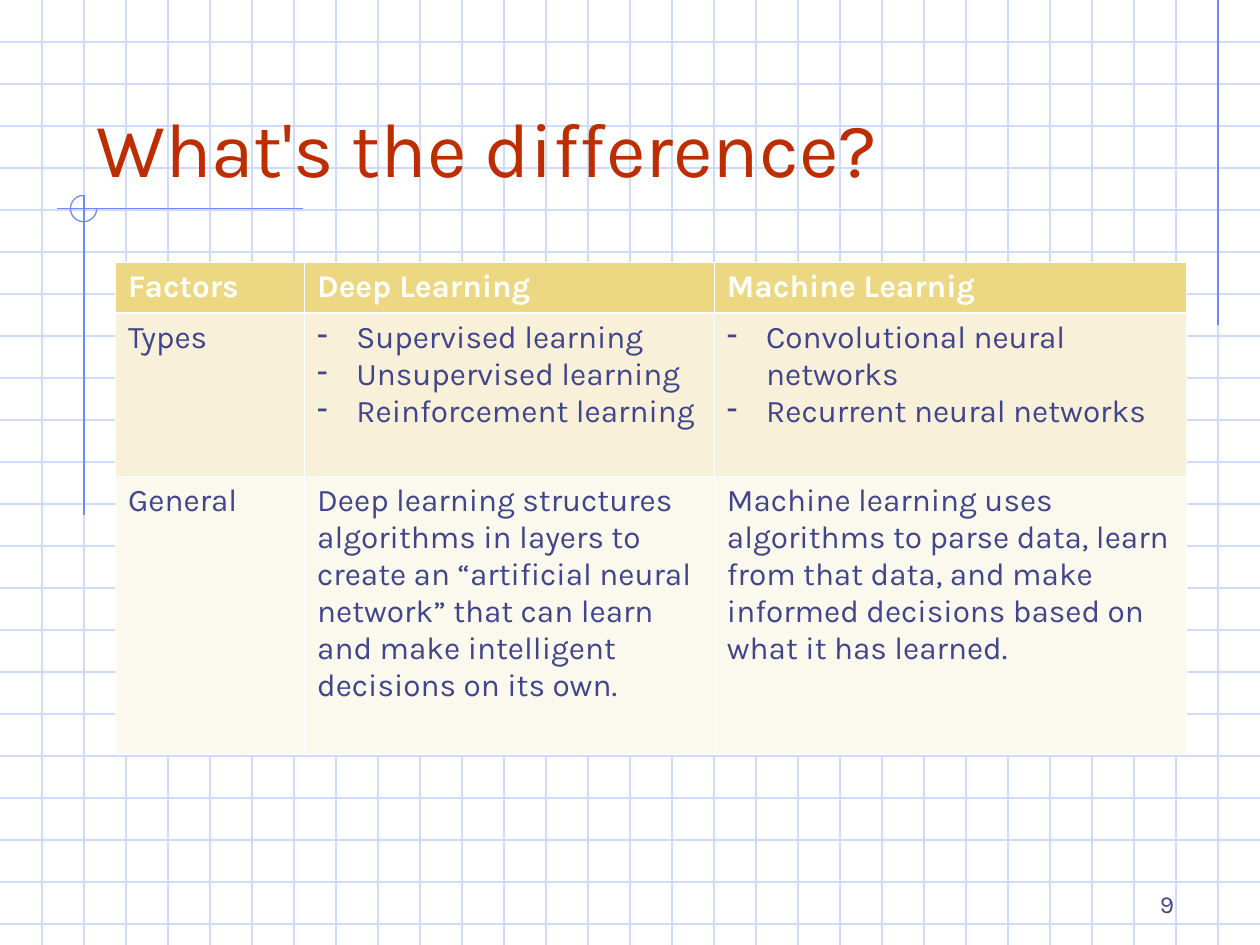
from pptx import Presentation
from pptx.dml.color import RGBColor
from pptx.enum.shapes import MSO_CONNECTOR, MSO_SHAPE
from pptx.enum.text import MSO_ANCHOR, PP_ALIGN
from pptx.oxml.ns import qn
from pptx.util import Cm, Pt
from lxml.etree import SubElement, Element

FONT = "Karla"
WHITE = RGBColor(0xFF, 0xFF, 0xFF)
GRID = RGBColor(0xCF, 0xDB, 0xFD)
ACCENT = RGBColor(0x6F, 0x89, 0xF7)
RED = RGBColor(0xBE, 0x2D, 0x00)
NAVY = RGBColor(0x40, 0x45, 0x8C)
GOLD = RGBColor(0xEC, 0xD8, 0x82)
SAND = RGBColor(0xF8, 0xF0, 0xD8)
CREAM = RGBColor(0xFB, 0xF8, 0xED)

WIDTH, HEIGHT = 25.4, 19.05
STEP = WIDTH / 30
THIN, THICK = Pt(0.45), Pt(1.47)
COLUMNS = [3.81, 8.26, 9.52]
ROWS = [
    (1.02, GOLD, ["Factors", "Deep Learning", "Machine Learnig"]),
    (3.3, SAND, [
        "Types",
        ["Supervised learning", "Unsupervised learning", "Reinforcement learning"],
        ["Convolutional neural networks", "Recurrent neural networks"],
    ]),
    (5.59, CREAM, [
        "General",
        "Deep learning structures algorithms in layers to create an “artificial "
        "neural network” that can learn and make intelligent decisions on its own.",
        "Machine learning uses algorithms to parse data, learn from that data, "
        "and make informed decisions based on what it has learned.",
    ]),
]


def add_line(s, x1, y1, x2, y2, color):
    sp = s.shapes.add_connector(MSO_CONNECTOR.STRAIGHT, Cm(x1), Cm(y1), Cm(x2), Cm(y2))
    sp.line.color.rgb = color
    sp.line.width = Pt(0.75)
    SubElement(sp._element.spPr, qn("a:effectLst"))


def add_grid(s):
    for i in range(1, 23):
        add_line(s, 0, i * STEP, WIDTH, i * STEP, GRID)
    for i in range(1, 30):
        add_line(s, i * STEP, 0, i * STEP, HEIGHT, GRID)


def add_arc(s, x, y, size):
    sp = s.shapes.add_shape(MSO_SHAPE.ARC, Cm(x), Cm(y), Cm(size), Cm(size))
    sp.adjustments[0] = 0
    sp.adjustments[1] = 162
    sp.shadow.inherit = False
    sp.fill.background()
    sp.line.color.rgb = ACCENT
    sp.line.width = Pt(0.75)


def add_bullet(p):
    pPr = p._p.get_or_add_pPr()
    pPr.set("marL", str(Cm(0.79)))
    pPr.set("indent", str(-Cm(0.79)))
    clr = SubElement(SubElement(pPr, qn("a:buClr")), qn("a:srgbClr"))
    clr.set("val", str(NAVY))
    SubElement(pPr, qn("a:buChar")).set("char", "-")


def write(tf, text, size=18, color=NAVY, bold=False, align=PP_ALIGN.LEFT):
    tf.word_wrap = True
    bulleted = isinstance(text, list)
    for i, line in enumerate(text if bulleted else [text]):
        p = tf.add_paragraph() if i else tf.paragraphs[0]
        p.alignment = align
        if bulleted:
            add_bullet(p)
        r = p.add_run()
        r.text = line
        r.font.name = FONT
        r.font.size = Pt(size)
        r.font.bold = bold
        r.font.color.rgb = color


def add_text(s, x, y, w, h, text, **fmt):
    tf = s.shapes.add_textbox(Cm(x), Cm(y), Cm(w), Cm(h)).text_frame
    tf.vertical_anchor = MSO_ANCHOR.BOTTOM
    write(tf, text, **fmt)


def set_borders(cell, top, bottom):
    tcPr = cell._tc.get_or_add_tcPr()
    for i, (side, width) in enumerate(zip("LRTB", (THIN, THIN, top, bottom))):
        ln = Element(qn(f"a:ln{side}"), w=str(width))
        clr = SubElement(SubElement(ln, qn("a:solidFill")), qn("a:srgbClr"))
        clr.set("val", str(WHITE))
        tcPr.insert(i, ln)


def add_comparison(s, x, y):
    height = sum(row[0] for row in ROWS)
    table = s.shapes.add_table(len(ROWS), len(COLUMNS), Cm(x), Cm(y),
                               Cm(sum(COLUMNS)), Cm(height)).table
    for column, width in zip(table.columns, COLUMNS):
        column.width = Cm(width)
    for i, (row_height, fill, texts) in enumerate(ROWS):
        table.rows[i].height = Cm(row_height)
        header = i == 0
        for j, text in enumerate(texts):
            cell = table.cell(i, j)
            cell.fill.solid()
            cell.fill.fore_color.rgb = fill
            set_borders(cell, THICK if i == 1 else THIN, THICK if header else THIN)
            write(cell.text_frame, text, color=WHITE if header else NAVY, bold=header)


def main():
    prs = Presentation()
    prs.slide_width, prs.slide_height = Cm(WIDTH), Cm(HEIGHT)
    s = prs.slides.add_slide(prs.slide_layouts[6])
    s.background.fill.solid()
    s.background.fill.fore_color.rgb = WHITE
    add_grid(s)
    add_line(s, 29 * STEP, 0, 29 * STEP, 6.55, ACCENT)
    add_line(s, 6.1, 4.21, 1.14, 4.21, ACCENT)
    add_line(s, 2 * STEP, 3.94, 2 * STEP, 10.39, ACCENT)
    add_arc(s, 1.42, 3.94, 0.53)
    add_text(s, 1.69, 0.85, 21.59, 3.17, "What's the difference?", size=44, color=RED)
    add_text(s, 18.63, 17.36, 5.29, 1.27, "9", size=14, align=PP_ALIGN.RIGHT)
    add_comparison(s, 2.33, 5.29)
    prs.save("out.pptx")


if __name__ == "__main__":
    main()
